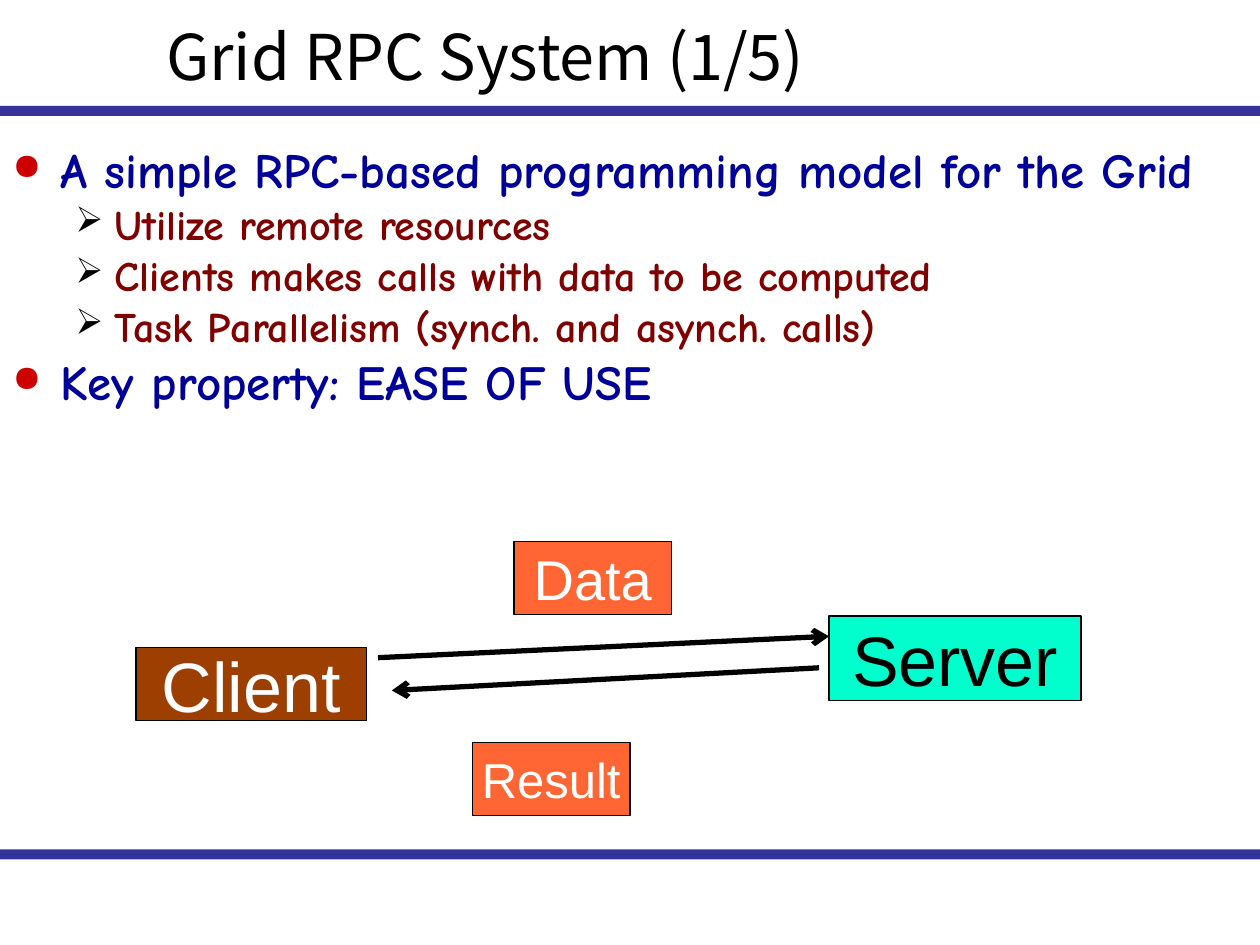
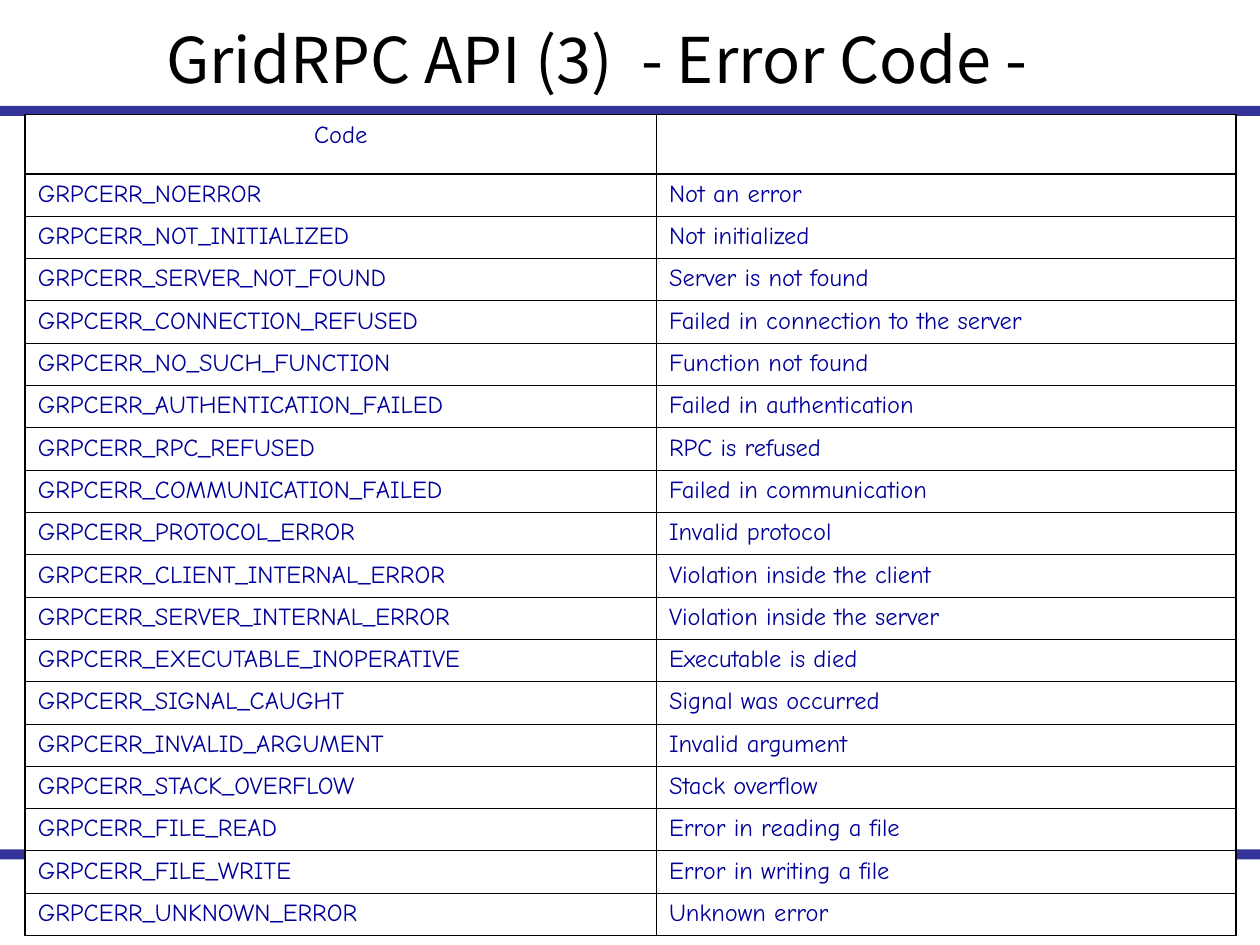
"""Build two slides on Grid RPC: the client-server model and the table of error codes."""
import lxml.etree
import pptx
import pptx.dml.color
import pptx.enum.shapes
import pptx.enum.text
import pptx.oxml.ns
import pptx.util

Inches = pptx.util.Inches
Pt = pptx.util.Pt
RGBColor = pptx.dml.color.RGBColor
qn = pptx.oxml.ns.qn
ALIGN = pptx.enum.text.PP_ALIGN
RECTANGLE = pptx.enum.shapes.MSO_SHAPE.RECTANGLE

BLACK = RGBColor(0x00, 0x00, 0x00)
WHITE = RGBColor(0xFF, 0xFF, 0xFF)
NAVY = RGBColor(0x00, 0x00, 0x80)
BLUE = RGBColor(0x00, 0x00, 0x99)
MAROON = RGBColor(0x80, 0x00, 0x00)
RED = RGBColor(0xCC, 0x00, 0x00)
BROWN = RGBColor(0x9C, 0x3F, 0x00)
TURQUOISE = RGBColor(0x00, 0xFF, 0xCC)
ORANGE = RGBColor(0xFF, 0x66, 0x33)

TITLE_FONT = "Noto Sans CJK JP"
BODY_FONT = "Comic Neue"
LABEL_FONT = "Arial"


def write(frame, text, font=BODY_FONT, size=14, color=BLUE, bold=False, align=ALIGN.LEFT):
    """Write text as the next paragraph of a text frame and return the paragraph."""
    paragraph = frame.paragraphs[0] if not frame.text else frame.add_paragraph()
    paragraph.alignment = align
    run = paragraph.add_run()
    run.text = text
    run.font.name = font
    run.font.size = Pt(size)
    run.font.color.rgb = color
    run.font.bold = bold
    return paragraph


def add_element(parent, tag, **attributes):
    """Append a drawing element to its parent and return it."""
    element = lxml.etree.SubElement(parent, qn(tag))
    for name, value in attributes.items():
        element.set(name, str(value))
    return element


presentation = pptx.Presentation()
presentation.slide_width = Inches(10)
presentation.slide_height = Inches(7.5)

titles = [
    ("Grid RPC System (1/5)", -0.03, 6.69, 0.94),
    ("GridRPC API (3)  - Error Code -", 0.08, 8.51, 0.76),
]
for title, top, width, height in titles:
    slide = presentation.slides.add_slide(presentation.slide_layouts[6])
    for band_top in (0.84, 6.74):
        band = slide.shapes.add_shape(RECTANGLE, 0, Inches(band_top), Inches(10), Inches(0.08))
        band.shadow.inherit = False
        band.fill.solid()
        band.fill.fore_color.rgb = NAVY
        band.line.fill.background()
        add_element(band.fill._xPr.find(qn("a:solidFill"))[0], "a:alpha", val=80000)
    title_box = slide.shapes.add_textbox(Inches(1.22), Inches(top), Inches(width), Inches(height))
    title_box.text_frame.word_wrap = True
    title_box.text_frame.vertical_anchor = pptx.enum.text.MSO_ANCHOR.MIDDLE
    write(title_box.text_frame, title, font=TITLE_FONT, size=36, color=BLACK)

model_slide, error_slide = presentation.slides

body = model_slide.shapes.add_textbox(0, Inches(1.15), Inches(10), Inches(2.25))
body.text_frame.word_wrap = True
levels = [
    dict(size=28, color=BLUE, margin=0.38, indent=0.38, before=7, bullet="●", bullet_color=RED, percent=75),
    dict(size=24, color=MAROON, margin=0.81, indent=0.31, before=6, bullet="➢", bullet_color=BLACK, percent=85),
]
points = [
    (0, "A simple RPC-based programming model for the Grid"),
    (1, "Utilize remote resources"),
    (1, "Clients makes calls with data to be computed"),
    (1, "Task Parallelism (synch. and asynch. calls)"),
    (0, "Key property: EASE OF USE"),
]
for number, (level, text) in enumerate(points):
    style = levels[level]
    paragraph = write(body.text_frame, text, size=style["size"], color=style["color"], bold=True)
    paragraph.level = level
    paragraph.line_spacing = 0.8
    paragraph.space_before = Pt(style["before"] if number else 0)
    properties = paragraph._p.get_or_add_pPr()
    properties.set("marL", str(Inches(style["margin"])))
    properties.set("indent", str(-Inches(style["indent"])))
    add_element(add_element(properties, "a:buClr"), "a:srgbClr", val=style["bullet_color"])
    add_element(properties, "a:buSzPct", val=style["percent"] * 1000)
    add_element(properties, "a:buChar", char=style["bullet"])

boxes = [
    ("Client", 1.08, 5.14, 1.83, 0.58, BROWN, WHITE, 40),
    ("Server", 6.58, 4.89, 2, 0.67, TURQUOISE, BLACK, 40),
    ("Data", 4.08, 4.3, 1.25, 0.58, ORANGE, WHITE, 32),
    ("Result", 3.75, 5.89, 1.25, 0.58, ORANGE, WHITE, 28),
]
for label, left, top, width, height, fill, color, size in boxes:
    box = model_slide.shapes.add_shape(RECTANGLE, Inches(left), Inches(top), Inches(width), Inches(height))
    box.shadow.inherit = False
    box.fill.solid()
    box.fill.fore_color.rgb = fill
    box.line.color.rgb = BLACK
    box.line.width = Pt(0.75)
    box.text_frame.word_wrap = False
    box.text_frame.vertical_anchor = pptx.enum.text.MSO_ANCHOR.MIDDLE
    write(box.text_frame, label, font=LABEL_FONT, size=size, color=color, align=ALIGN.CENTER)

arrows = [
    (3, 5.22, 6.58, 5.05, "a:tailEnd"),
    (3.11, 5.48, 6.5, 5.3, "a:headEnd"),
]
for start_x, start_y, end_x, end_y, arrow_end in arrows:
    arrow = model_slide.shapes.add_connector(
        pptx.enum.shapes.MSO_CONNECTOR.STRAIGHT,
        Inches(start_x), Inches(start_y), Inches(end_x), Inches(end_y))
    arrow.line.color.rgb = BLACK
    arrow.line.width = Pt(3)
    add_element(arrow.line._get_or_add_ln(), arrow_end, type="arrow")
    add_element(arrow._element.spPr, "a:effectLst")

rows = [
    ("Code", ""),
    ("GRPCERR_NOERROR", "Not an error"),
    ("GRPCERR_NOT_INITIALIZED", "Not initialized"),
    ("GRPCERR_SERVER_NOT_FOUND", "Server is not found"),
    ("GRPCERR_CONNECTION_REFUSED", "Failed in connection to the server"),
    ("GRPCERR_NO_SUCH_FUNCTION", "Function not found"),
    ("GRPCERR_AUTHENTICATION_FAILED", "Failed in authentication"),
    ("GRPCERR_RPC_REFUSED", "RPC is refused"),
    ("GRPCERR_COMMUNICATION_FAILED", "Failed in communication"),
    ("GRPCERR_PROTOCOL_ERROR", "Invalid protocol"),
    ("GRPCERR_CLIENT_INTERNAL_ERROR", "Violation inside the client"),
    ("GRPCERR_SERVER_INTERNAL_ERROR", "Violation inside the server"),
    ("GRPCERR_EXECUTABLE_INOPERATIVE", "Executable is died"),
    ("GRPCERR_SIGNAL_CAUGHT", "Signal was occurred"),
    ("GRPCERR_INVALID_ARGUMENT", "Invalid argument"),
    ("GRPCERR_STACK_OVERFLOW", "Stack overflow"),
    ("GRPCERR_FILE_READ", "Error in reading a file"),
    ("GRPCERR_FILE_WRITE", "Error in writing a file"),
    ("GRPCERR_UNKNOWN_ERROR", "Unknown error"),
]
INNER, OUTER, HEADER = 0.45, 1.08, 1.47
last = len(rows) - 1
header_height = Inches(0.47)
codes_height = Inches(6.05)
table = error_slide.shapes.add_table(
    len(rows), 2, Inches(0.2), Inches(0.91), Inches(9.61), header_height + codes_height).table
table.columns[0].width = Inches(5.01)
table.columns[1].width = Inches(4.6)
for row, texts in enumerate(rows):
    table.rows[row].height = codes_height // last if row else header_height
    for column, text in enumerate(texts):
        cell = table.cell(row, column)
        cell.margin_left = cell.margin_right = Inches(0.1)
        cell.margin_top = cell.margin_bottom = Inches(0.05)
        borders = {
            "a:lnL": INNER if column else OUTER,
            "a:lnR": OUTER if column else INNER,
            "a:lnT": {0: OUTER, 1: HEADER}.get(row, INNER),
            "a:lnB": {0: HEADER, last: OUTER}.get(row, INNER),
        }
        for tag, width in borders.items():
            border = add_element(cell._tc.get_or_add_tcPr(), tag, w=Pt(width))
            add_element(add_element(border, "a:solidFill"), "a:srgbClr", val=BLACK)
        cell.fill.solid()
        cell.fill.fore_color.rgb = WHITE
        if text:
            write(cell.text_frame, text, align=ALIGN.LEFT if row else ALIGN.CENTER)

presentation.save("out.pptx")
